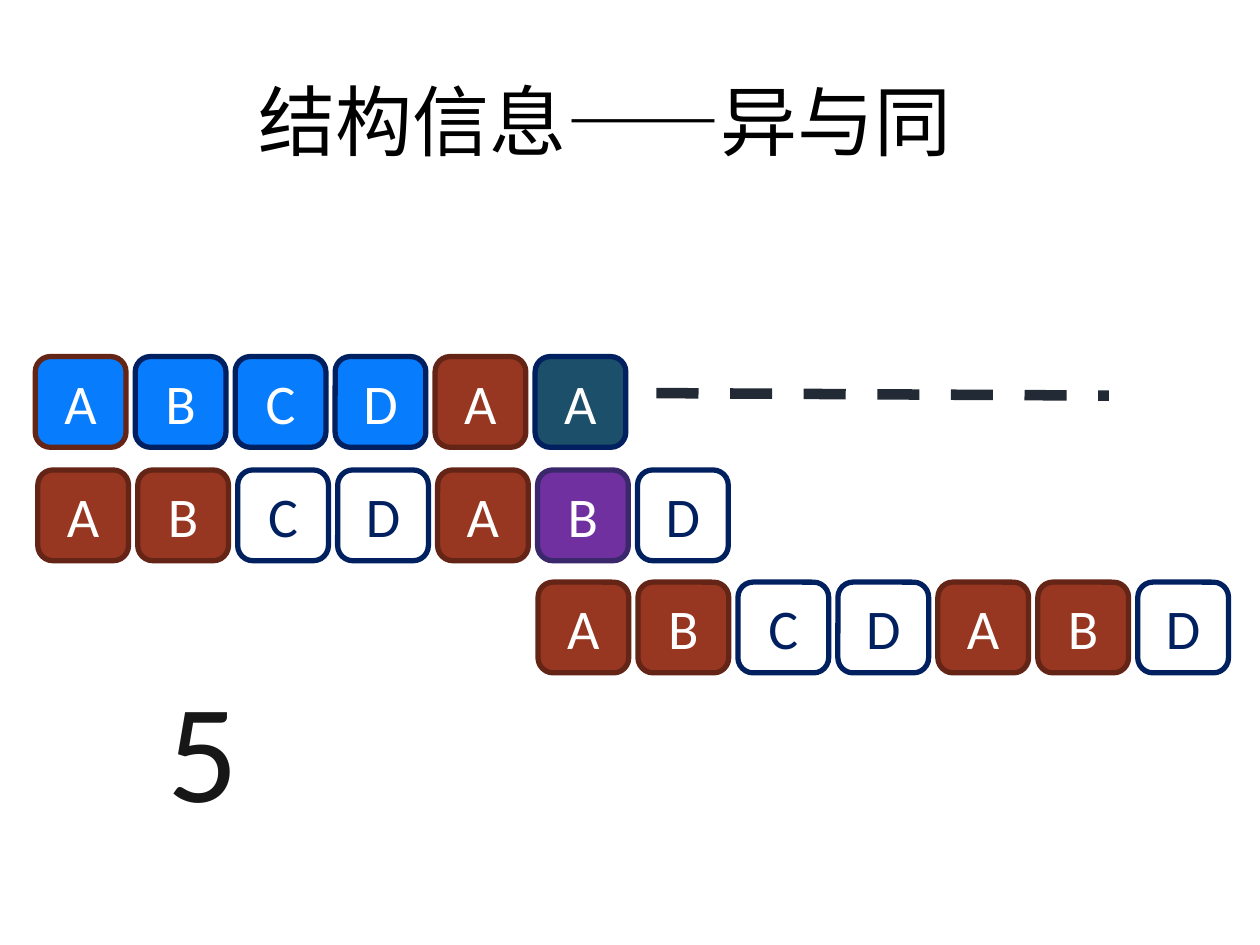
from dataclasses import dataclass
from typing import Any

from lxml import etree
from pptx import Presentation
from pptx.dml.color import RGBColor
from pptx.enum.dml import MSO_LINE
from pptx.enum.shapes import MSO_CONNECTOR, MSO_SHAPE
from pptx.enum.text import MSO_ANCHOR, PP_ALIGN
from pptx.oxml.ns import qn
from pptx.util import Inches, Pt

CENTER = PP_ALIGN.CENTER
TOP, MIDDLE = MSO_ANCHOR.TOP, MSO_ANCHOR.MIDDLE
ROUNDED = MSO_SHAPE.ROUNDED_RECTANGLE
STRAIGHT = MSO_CONNECTOR.STRAIGHT
DASH = MSO_LINE.DASH
TITLE_ONLY = 5
TILE = 0.72
STEP = 4.76 / 6


@dataclass(frozen=True)
class Theme:
    title_font: str = "Noto Sans CJK JP"
    font: str = "Calibri"
    title_size: int = 44
    tile_size: int = 32
    count_size: int = 80
    title: str = "000000"
    count: str = "181717"
    dash: str = "222A35"
    white: str = "FFFFFF"
    navy: str = "002060"
    red: str = "973721"
    dark_red: str = "642416"
    blue: str = "077CFD"
    teal: str = "1C4F69"
    purple: str = "7030A0"
    dark_purple: str = "3A276C"


@dataclass(frozen=True)
class Style:
    fill: str
    line: str
    text: str


@dataclass(frozen=True)
class Row:
    left: float
    top: float
    letters: str
    styles: tuple[Style, ...]


THEME = Theme()
MATCH = Style(THEME.red, THEME.dark_red, THEME.white)
PLAIN = Style(THEME.white, THEME.navy, THEME.navy)
SEEN = Style(THEME.blue, THEME.navy, THEME.white)
FIRST = Style(THEME.blue, THEME.dark_red, THEME.white)
MISMATCH = Style(THEME.teal, THEME.navy, THEME.white)
FAILED = Style(THEME.purple, THEME.dark_purple, THEME.white)

TEXT_ROW = Row(0.28, 2.83, "ABCDAA", (FIRST, SEEN, SEEN, SEEN, MATCH, MISMATCH))
PATTERN_ROWS = (
    Row(0.3, 3.73, "ABCDABD", (MATCH, MATCH, PLAIN, PLAIN, MATCH, FAILED, PLAIN)),
    Row(4.27, 4.62, "ABCDABD", (MATCH, MATCH, PLAIN, PLAIN, MATCH, MATCH, PLAIN)),
)


def rgb(color: str) -> RGBColor:
    """Turn a hex string into a colour."""
    return RGBColor.from_string(color)


def write(tf: Any, text: str, font: str, size: int, color: str) -> None:
    """Fill a text frame with one centred paragraph."""
    p = tf.paragraphs[0]
    p.text = text
    p.alignment = CENTER
    p.font.name = font
    p.font.size = Pt(size)
    p.font.color.rgb = rgb(color)


def add_title(slide: Any, text: str) -> None:
    """Place and format the title placeholder."""
    sp = slide.shapes.title
    sp.left, sp.top = Inches(0.56), Inches(0.67)
    sp.width, sp.height = Inches(8.49), Inches(1.06)
    tf = sp.text_frame
    tf.vertical_anchor = TOP
    tf.margin_top = 0
    write(tf, text, THEME.title_font, THEME.title_size, THEME.title)
    p = tf.paragraphs[0]
    p.line_spacing = 0.9
    r_pr = p.runs[0].font._element
    etree.SubElement(r_pr, qn("a:ea"), typeface=THEME.title_font)


def add_tile(shapes: Any, left: float, top: float, letter: str, style: Style) -> None:
    """Draw one lettered tile."""
    sp = shapes.add_shape(ROUNDED, Inches(left), Inches(top), Inches(TILE), Inches(TILE))
    sp.shadow.inherit = False
    sp.fill.solid()
    sp.fill.fore_color.rgb = rgb(style.fill)
    sp.line.color.rgb = rgb(style.line)
    sp.line.width = Pt(3)
    sp.text_frame.vertical_anchor = MIDDLE
    write(sp.text_frame, letter, THEME.font, THEME.tile_size, style.text)


def add_row(shapes: Any, row: Row) -> None:
    """Draw a row of evenly spaced tiles."""
    for i, (letter, style) in enumerate(zip(row.letters, row.styles)):
        add_tile(shapes, row.left + i * STEP, row.top, letter, style)


def add_continuation(slide: Any) -> None:
    """Draw the dashed line that continues the text row."""
    line = slide.shapes.add_connector(
        STRAIGHT, Inches(5.21), Inches(3.12), Inches(8.8), Inches(3.14)
    )
    line.line.color.rgb = rgb(THEME.dash)
    line.line.width = Pt(6)
    line.line.dash_style = DASH
    etree.SubElement(line._element.spPr, qn("a:effectLst"))


def add_count(slide: Any, text: str) -> None:
    """Write the large number under the rows."""
    sp = slide.shapes.add_textbox(Inches(0.56), Inches(5.21), Inches(2.11), Inches(1.45))
    sp.text_frame.word_wrap = True
    write(sp.text_frame, text, THEME.font, THEME.count_size, THEME.count)


def main() -> None:
    """Build and save the slide."""
    prs = Presentation()
    prs.slide_width, prs.slide_height = Inches(10), Inches(7.5)
    slide = prs.slides.add_slide(prs.slide_layouts[TITLE_ONLY])
    add_title(slide, "结构信息——异与同")
    add_row(slide.shapes, TEXT_ROW)
    add_continuation(slide)
    for row in PATTERN_ROWS:
        add_row(slide.shapes.add_group_shape().shapes, row)
    add_count(slide, "5")
    prs.save("out.pptx")


if __name__ == "__main__":
    main()
